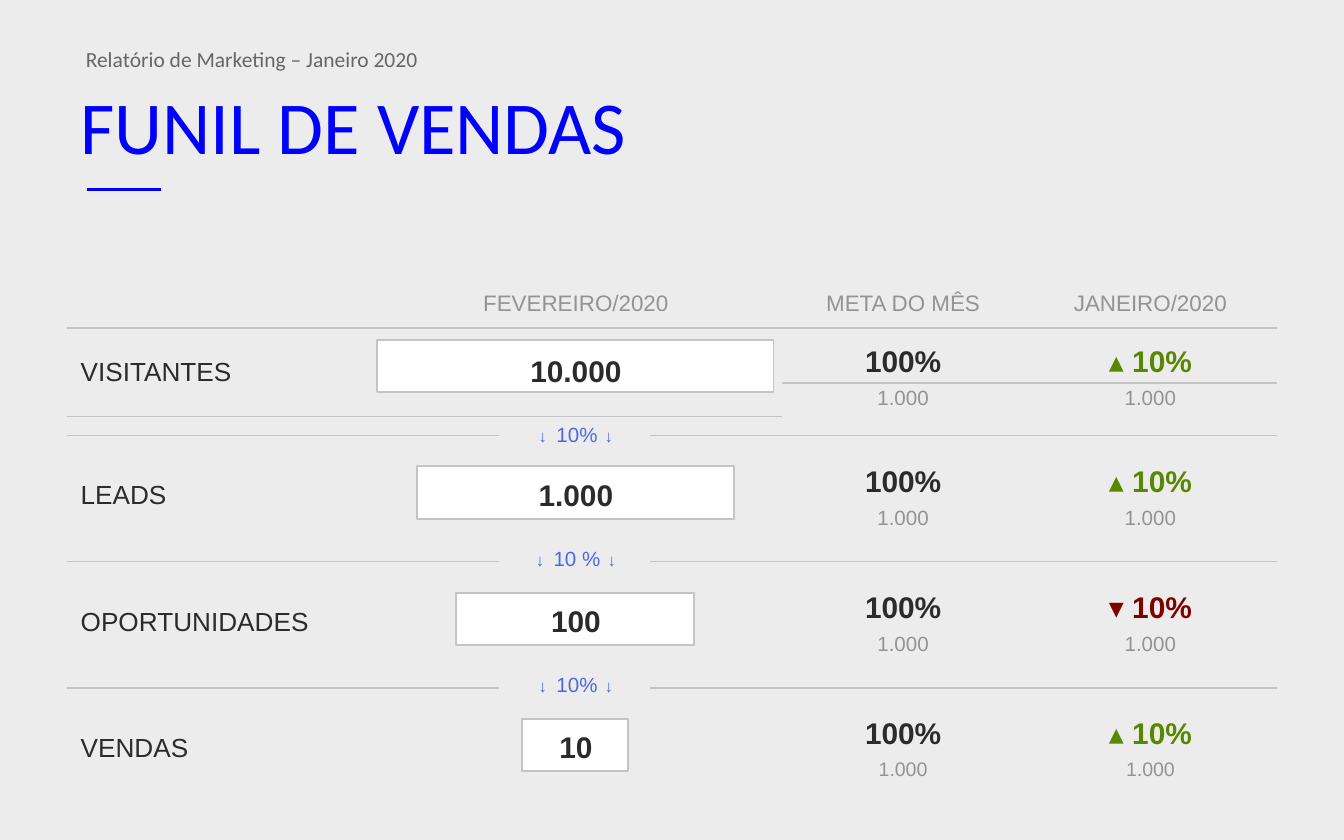
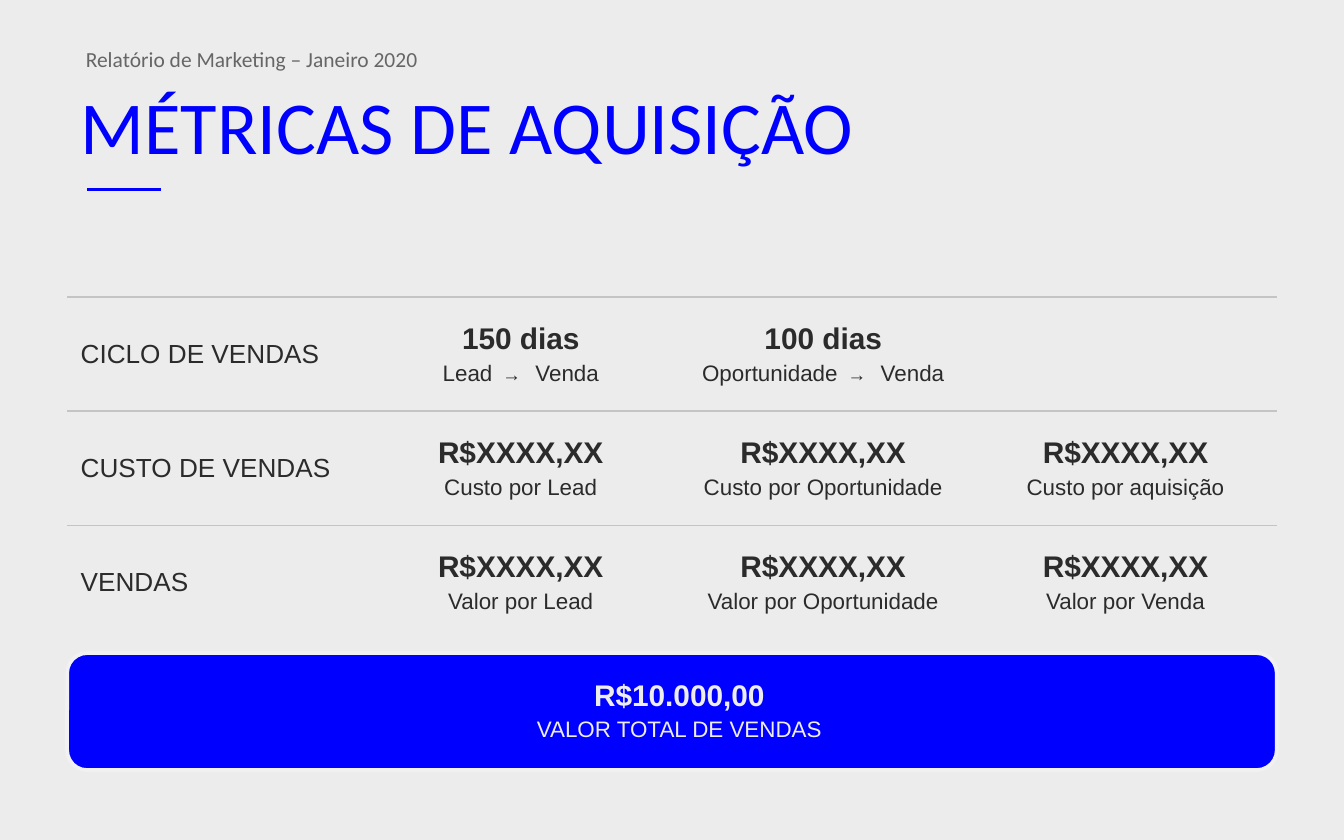
from dataclasses import dataclass

from lxml import etree
from pptx import Presentation
from pptx.dml.color import RGBColor
from pptx.enum.shapes import MSO_CONNECTOR, MSO_SHAPE
from pptx.enum.text import MSO_ANCHOR, PP_ALIGN
from pptx.oxml.ns import qn
from pptx.util import Inches, Pt

STRAIGHT = MSO_CONNECTOR.STRAIGHT
RECTANGLE, ROUNDED = MSO_SHAPE.RECTANGLE, MSO_SHAPE.ROUNDED_RECTANGLE
TOP, MIDDLE, BOTTOM = MSO_ANCHOR.TOP, MSO_ANCHOR.MIDDLE, MSO_ANCHOR.BOTTOM
LEFT, CENTER = PP_ALIGN.LEFT, PP_ALIGN.CENTER
PLAIN_TABLE = "{2D5ABB26-0587-4C30-8999-92F81FD0307C}"
STAGE_PITCH = 0.94


@dataclass(frozen=True)
class Theme:
    background: str = "ECECEC"
    accent: str = "0000FF"
    ink: str = "2B2B2B"
    muted: str = "939393"
    report: str = "666666"
    rule: str = "C4C4C4"
    white: str = "FFFFFF"
    rise: str = "588800"
    fall: str = "800000"
    conversion: str = "4D67EA"
    total_text: str = "EDEDED"
    total_edge: str = "F1F1F1"
    heading_font: str = "Calibri"
    body_font: str = "Arial"
    title_size: float = 40
    report_size: float = 11.5
    value_size: float = 16
    stage_size: float = 14
    caption_size: float = 12
    detail_size: float = 11
    last_detail_size: float = 10.5
    flow_arrow_size: float = 10
    step_arrow_size: float = 9


THEME = Theme()


@dataclass(frozen=True)
class Span:
    text: str
    size: float
    color: str = THEME.ink
    bold: bool = False
    tracking: int = 0


def rgb(color):
    return RGBColor.from_string(color)


def style_font(font, name, size, color, bold=False):
    font.name = name
    font.size = Pt(size)
    font.bold = bold
    font.color.rgb = rgb(color)


def add_rule(slide, x1, x2, y, color=THEME.rule, width=0.75):
    rule = slide.shapes.add_connector(STRAIGHT, Inches(x1), Inches(y), Inches(x2), Inches(y))
    rule.line.color.rgb = rgb(color)
    rule.line.width = Pt(width)
    etree.SubElement(rule._element.spPr, qn("a:effectLst"))


def add_block(slide, kind, left, top, width, height, fill, edge, edge_width):
    block = slide.shapes.add_shape(kind, Inches(left), Inches(top), Inches(width), Inches(height))
    block.shadow.inherit = False
    block.fill.solid()
    block.fill.fore_color.rgb = rgb(fill)
    block.line.color.rgb = rgb(edge)
    block.line.width = Pt(edge_width)
    return block


def add_header(slide, heading):
    title = slide.shapes.title
    title.left, title.top, title.width, title.height = map(Inches, (0.5, 0.58, 9, 0.7))
    title.text_frame.text = heading
    title.text_frame.vertical_anchor = MIDDLE
    title_line = title.text_frame.paragraphs[0]
    title_line.alignment = LEFT
    style_font(title_line.runs[0].font, THEME.heading_font, THEME.title_size, THEME.accent)

    report = slide.shapes.add_textbox(Inches(0.54), Inches(0.33), Inches(9), Inches(0.27)).text_frame
    report.word_wrap = True
    report.text = "Relatório de Marketing – Janeiro 2020"
    report_line = report.paragraphs[0]
    report_line.line_spacing = 0.8
    style_font(report_line.runs[0].font, THEME.heading_font, THEME.report_size, THEME.report)
    add_rule(slide, 0.65, 1.2, 1.41, THEME.accent, 2)


def add_grid(slide, left, top, widths, heights):
    frame = slide.shapes.add_table(len(heights), len(widths), Inches(left), Inches(top),
                                   Inches(sum(widths)), Inches(sum(heights)))
    grid = frame.table
    grid.first_row = grid.horz_banding = False
    grid._tbl.tblPr.find(qn("a:tableStyleId")).text = PLAIN_TABLE
    for column, width in zip(grid.columns, widths):
        column.width = Inches(width)
    for row, height in zip(grid.rows, heights):
        row.height = Inches(height)
    for cell in grid.iter_cells():
        cell.fill.background()
        cell.margin_left = cell.margin_right = Inches(0.1)
        cell.margin_top = cell.margin_bottom = Inches(0.03)
        line_end = cell.text_frame.paragraphs[0]._p.get_or_add_endParaRPr()
        line_end.set("sz", str(THEME.detail_size * 100))
    return grid


def add_border(cell, side):
    border = etree.Element(qn(f"a:{side}"), w=str(Pt(1)))
    fill = etree.SubElement(border, qn("a:solidFill"))
    etree.SubElement(fill, qn("a:srgbClr"), val=THEME.rule)
    cell._tc.get_or_add_tcPr().insert(0, border)


def write(cell, *lines, align=CENTER, anchor=MIDDLE, first_spacing=None):
    cell.vertical_anchor = anchor
    for index, spans in enumerate(lines):
        line = cell.text_frame.paragraphs[0] if index == 0 else cell.text_frame.add_paragraph()
        line.alignment = align
        spacing = 1.2 if index else first_spacing
        if spacing:
            line.line_spacing = spacing
        for span in spans:
            run = line.add_run()
            run.text = span.text
            style_font(run.font, THEME.body_font, span.size, span.color, span.bold)
            if span.tracking:
                run.font._element.set("spc", str(span.tracking))


def write_stage(cell, name):
    write(cell, [Span(name, THEME.stage_size)], align=LEFT)


def write_metric(cell, value, caption, color=THEME.ink):
    parts = caption.split(" → ")
    spans = [Span(parts[0], THEME.caption_size, color)]
    for part in parts[1:]:
        spans += [Span(" → ", THEME.flow_arrow_size, tracking=250),
                  Span(part, THEME.caption_size, color)]
    write(cell, [Span(value, THEME.value_size, color, True)], spans)


def write_conversion(cell, rate):
    arrow_size, color = THEME.step_arrow_size, THEME.conversion
    write(cell, [Span("↓ ", arrow_size, color, tracking=125),
                 Span(rate, THEME.detail_size, color),
                 Span(" ↓", arrow_size, color, tracking=125)])


def write_funnel_stage(grid, row, name, count, change, detail_size, spacings):
    for column in (0, 1):
        grid.cell(row, column).merge(grid.cell(row + 1, column))
    write_stage(grid.cell(row, 0), name)
    write(grid.cell(row, 1), [Span(count, THEME.value_size, bold=True)])
    change_color = THEME.rise if change.startswith("▴") else THEME.fall
    results = (("100%", THEME.ink), (change, change_color))
    for column, (result, color), spacing in zip((2, 3), results, spacings):
        write(grid.cell(row, column), [Span(result, THEME.value_size, color, True)],
              anchor=BOTTOM, first_spacing=spacing)
        write(grid.cell(row + 1, column), [Span("1.000", detail_size, THEME.muted)], anchor=TOP)


def build_funnel(slide):
    add_header(slide, "FUNIL DE VENDAS")
    stages = (("VISITANTES", "10.000", "▴ 10%", 2.95),
              ("LEADS", "1.000", "▴ 10%", 2.36),
              ("OPORTUNIDADES", "100", "▾ 10%", 1.77),
              ("VENDAS", "10", "▴ 10%", 0.79))
    conversions = ("10%", "10 %", "10%")
    for index, (*_, width) in enumerate(stages):
        add_block(slide, RECTANGLE, 4.28 - width / 2, 2.53 + STAGE_PITCH * index, width, 0.39,
                  THEME.white, THEME.rule, 1)

    stage_rows = (0.36, 0.26)
    conversion_row = STAGE_PITCH - sum(stage_rows)
    grid = add_grid(slide, 0.5, 2.08, (2.25, 3.07, 1.8, 1.88),
                    (0.36, 0.41, 0.25, 0.28) + stage_rows + (conversion_row, *stage_rows) * 2)
    for column, period in enumerate(("FEVEREIRO/2020", "META DO MÊS", "JANEIRO/2020"), 1):
        write(grid.cell(0, column), [Span(period, THEME.caption_size, THEME.muted)])
    for index, (name, count, change, _) in enumerate(stages):
        is_last = index == len(stages) - 1
        write_funnel_stage(grid, 1 + 3 * index, name, count, change,
                           THEME.last_detail_size if is_last else THEME.detail_size,
                           (None, None) if index else (1.3, 1.2))
    for index, rate in enumerate(conversions):
        write_conversion(grid.cell(3 + 3 * index, 1), rate)
        separator = 3.24 + STAGE_PITCH * index
        add_rule(slide, 0.5, 3.71, separator)
        add_rule(slide, 4.84, 9.5, separator)
    for column in range(4):
        add_border(grid.cell(0, column), "lnB")
        add_border(grid.cell(1, column), "lnB")
        add_border(grid.cell(1, column), "lnT")


def build_metrics(slide):
    add_header(slide, "MÉTRICAS DE AQUISIÇÃO")
    price = "R$XXXX,XX"
    groups = (
        ("CICLO DE VENDAS", (("150 dias", "Lead → Venda"), ("100 dias", "Oportunidade → Venda"))),
        ("CUSTO DE VENDAS", ((price, "Custo por Lead"), (price, "Custo por Oportunidade"),
                             (price, "Custo por aquisição"))),
        ("VENDAS", ((price, "Valor por Lead"), (price, "Valor por Oportunidade"),
                    (price, "Valor por Venda"))),
    )
    grid = add_grid(slide, 0.5, 2.21, (2.25,) * 4, (0.85,) * 3)
    for row, (name, metrics) in enumerate(groups):
        write_stage(grid.cell(row, 0), name)
        for column, (value, caption) in enumerate(metrics, 1):
            write_metric(grid.cell(row, column), value, caption)
    for cell in grid.iter_cells():
        add_border(cell, "lnT")

    banner = add_block(slide, ROUNDED, 0.5, 4.86, 9, 0.87, THEME.accent, THEME.total_edge, 2)
    banner.adjustments[0] = 0.17
    total = add_grid(slide, 0.61, 4.86, (8.89,), (0.86,))
    write_metric(total.cell(0, 0), "R$10.000,00", "VALOR TOTAL DE VENDAS", THEME.total_text)


def main():
    deck = Presentation()
    deck.slide_width, deck.slide_height = Inches(10), Inches(6.25)
    backdrop = deck.slide_master.background.fill
    backdrop.solid()
    backdrop.fore_color.rgb = rgb(THEME.background)
    title_only = deck.slide_layouts.get_by_name("Title Only")
    for build in (build_funnel, build_metrics):
        build(deck.slides.add_slide(title_only))
    deck.save("out.pptx")


if __name__ == "__main__":
    main()
